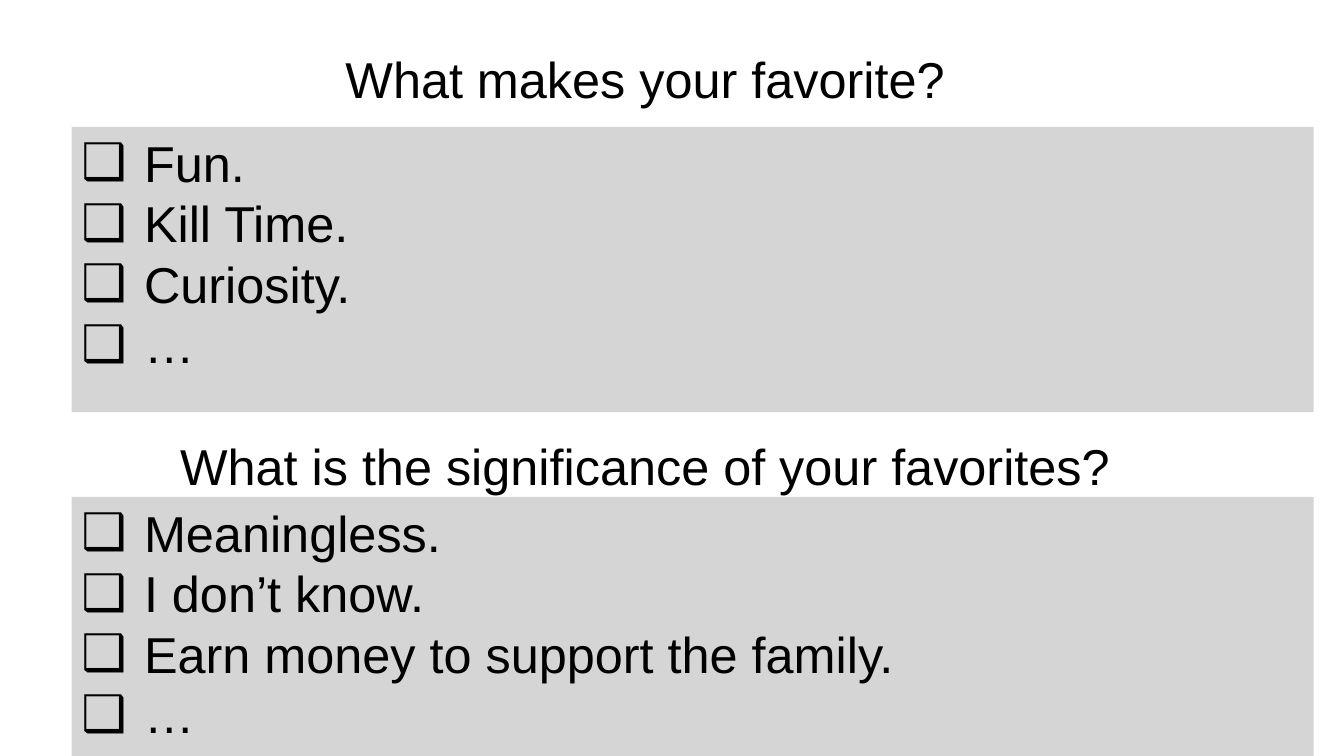
from dataclasses import dataclass

from lxml.etree import SubElement
from pptx import Presentation
from pptx.dml.color import RGBColor
from pptx.enum.shapes import MSO_SHAPE
from pptx.enum.text import MSO_ANCHOR, PP_ALIGN
from pptx.oxml.ns import qn
from pptx.slide import Slide
from pptx.text.text import _Paragraph
from pptx.util import Emu, Pt

SCALE = 9144
BLACK = RGBColor(0x00, 0x00, 0x00)
GRAY = RGBColor(0xD5, 0xD5, 0xD5)
FONT_FORMAT = {"name": "Arial", "size": Pt(36)}
HEADING_FRAME = {"word_wrap": True, "vertical_anchor": MSO_ANCHOR.MIDDLE}
PANEL_FRAME = {"word_wrap": True, "vertical_anchor": MSO_ANCHOR.TOP}
BULLET = "❑"
INDENT = 62


@dataclass(frozen=True)
class Section:
    question: str
    answers: tuple[str, ...]
    heading_top: int
    panel_top: int


SECTIONS = (
    Section("What makes your favorite?",
            ("Fun.", "Kill Time.", "Curiosity.", "…"), 46, 126),
    Section("What is the significance of your favorites?",
            ("Meaningless.", "I don’t know.",
             "Earn money to support the family.", "…"), 430, 493),
)


def px(length: int) -> Emu:
    return Emu(length * SCALE)


def apply_format(target: object, values: dict) -> None:
    for name, value in values.items():
        setattr(target, name, value)


def write_text(paragraph: _Paragraph, text: str, alignment: PP_ALIGN) -> None:
    paragraph.text = text
    paragraph.alignment = alignment
    apply_format(paragraph.font, FONT_FORMAT)
    paragraph.font.color.rgb = BLACK
    for run in paragraph.runs:
        apply_format(run.font, FONT_FORMAT)
        run.font.color.rgb = BLACK


def add_bullet(paragraph: _Paragraph) -> None:
    properties = paragraph._p.get_or_add_pPr()
    properties.set("marL", str(px(INDENT)))
    properties.set("indent", str(px(-INDENT)))
    SubElement(properties, qn("a:buFont"), typeface="Arial")
    SubElement(properties, qn("a:buChar"), char=BULLET)


def add_heading(slide: Slide, section: Section) -> None:
    shape = slide.shapes.add_textbox(px(40), px(section.heading_top), px(1200), px(64))
    apply_format(shape.text_frame, HEADING_FRAME)
    write_text(shape.text_frame.paragraphs[0], section.question, PP_ALIGN.CENTER)


def add_panel(slide: Slide, section: Section) -> None:
    shape = slide.shapes.add_shape(
        MSO_SHAPE.RECTANGLE, px(71), px(section.panel_top), px(1232), px(283))
    shape.shadow.inherit = False
    shape.fill.solid()
    shape.fill.fore_color.rgb = GRAY
    shape.line.fill.background()
    frame = shape.text_frame
    apply_format(frame, PANEL_FRAME)
    for index, answer in enumerate(section.answers):
        paragraph = frame.add_paragraph() if index else frame.paragraphs[0]
        add_bullet(paragraph)
        write_text(paragraph, answer, PP_ALIGN.LEFT)


def main() -> None:
    presentation = Presentation()
    presentation.slide_width = px(1333)
    presentation.slide_height = px(750)
    slide = presentation.slides.add_slide(presentation.slide_layouts[6])
    for section in SECTIONS:
        add_heading(slide, section)
        add_panel(slide, section)
    presentation.save("out.pptx")


if __name__ == "__main__":
    main()
